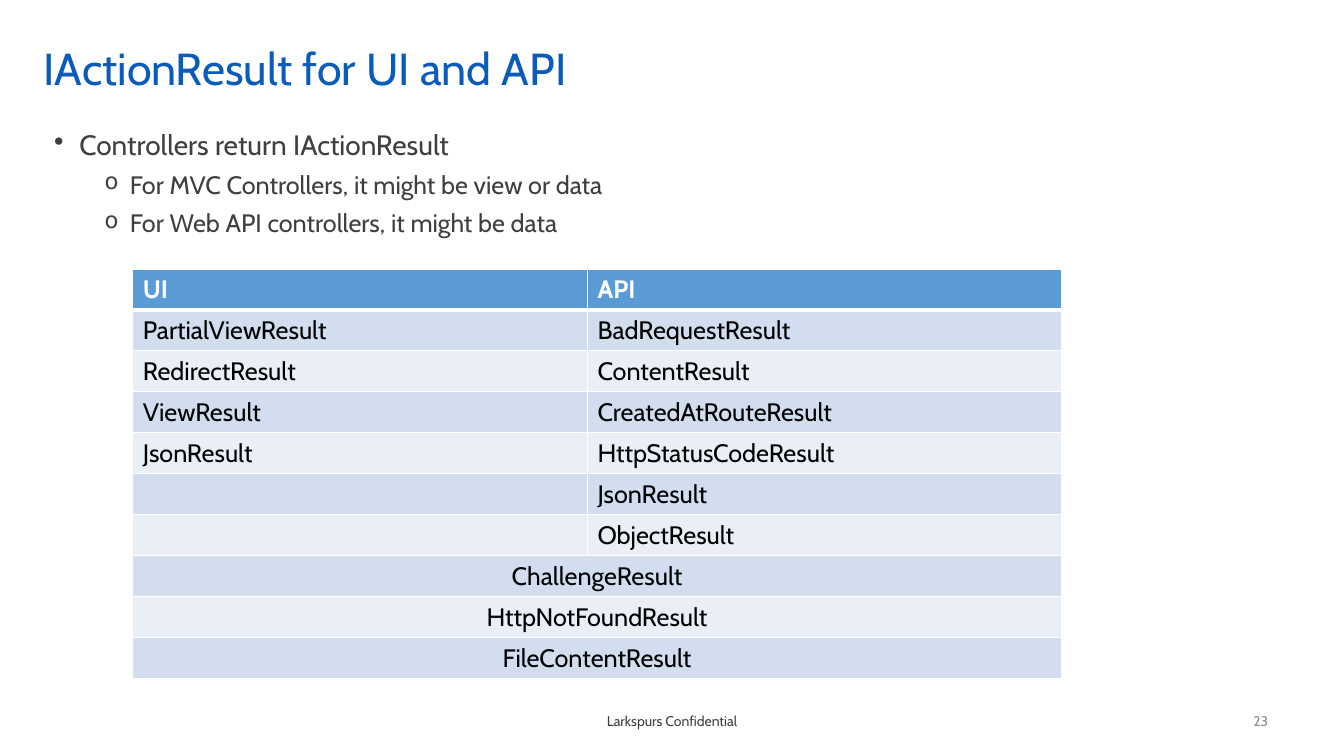
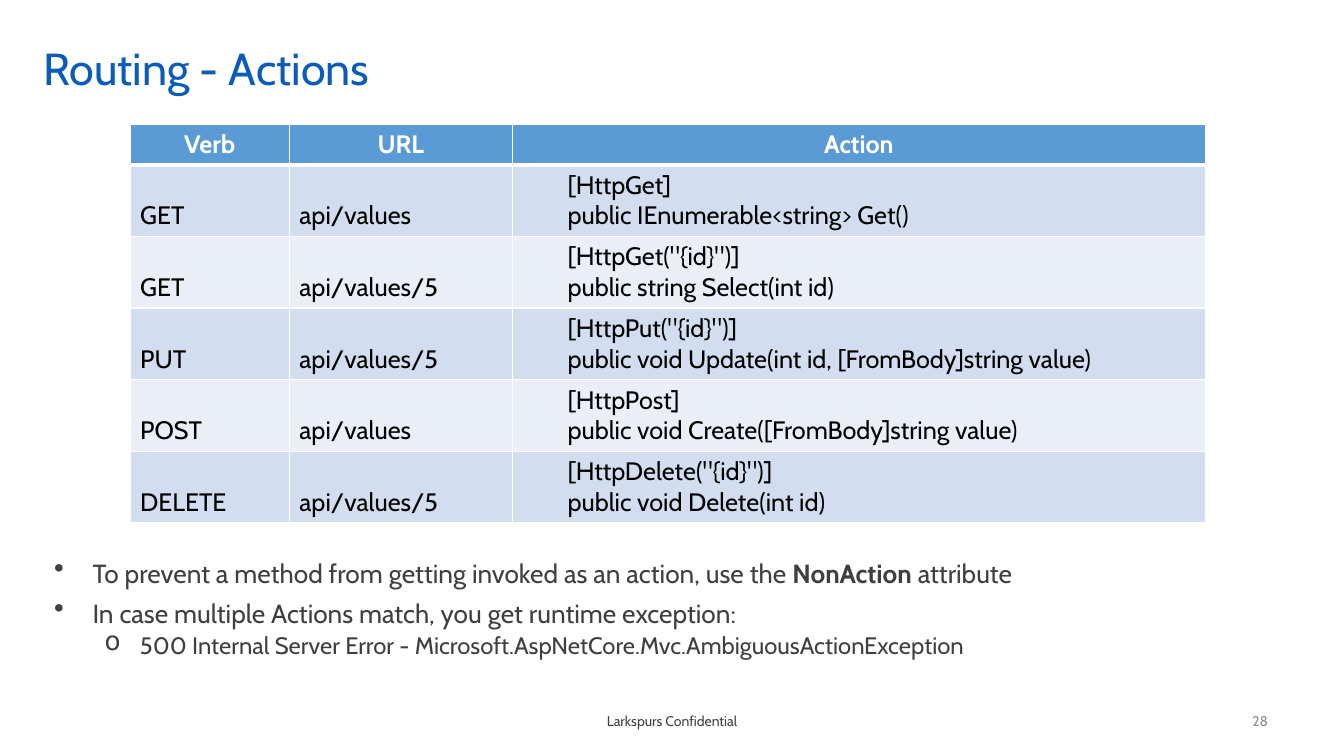
from dataclasses import dataclass

from lxml.etree import SubElement
from pptx import Presentation
from pptx.dml.color import RGBColor
from pptx.enum.text import MSO_ANCHOR, PP_ALIGN
from pptx.oxml.ns import qn
from pptx.slide import Slide
from pptx.table import _Cell
from pptx.text.text import TextFrame, _Paragraph
from pptx.util import Emu, Inches, Pt

# Shared look
FONT = "Cabin"
BLUE, DARK, GREY = "0A5BBA", "3F3F3F", "8C8C8C"
HEADER_FILL, BAND_FILLS = "5B9BD5", ("D2DEEF", "EAEFF7")
WHITE, BLACK = "FFFFFF", "000000"
FOOTER = "Larkspurs Confidential"
TABLE_SIZE = 18
CODE_INDENT = " " * 8

WIDTH, HEIGHT = Inches(13.33), Inches(7.5)


@dataclass(frozen=True)
class Box:
    """A frame, in percent of the slide's width and height."""
    left: float
    top: float
    width: float
    height: float


@dataclass(frozen=True)
class BulletStyle:
    """Bullet sign and spacing; indents in inches, sizes in points."""
    sign: str
    sign_percent: int
    indent: float
    hanging: float
    size: float
    before: float
    line_spacing: float


@dataclass(frozen=True)
class Bullet:
    """One list entry; every second segment is bold."""
    style: BulletStyle
    segments: tuple[str, ...]


@dataclass(frozen=True)
class TableRow:
    texts: tuple[str, ...]
    merged: bool = False


@dataclass(frozen=True)
class TableLayout:
    """Place and tracks of a table, in percent of the slide."""
    left: float
    top: float
    columns: tuple[float, ...]
    header_height: float
    row_height: float
    header_align: PP_ALIGN


TITLE_BOX = Box(2.5, 4.4, 92.5, 10)
FOOTER_BOX = Box(38.33, 92.67, 23.33, 5.33)
NUMBER_BOX = Box(72.6, 92.67, 22.5, 5.33)

RESULT_MAIN = BulletStyle("•", 100, 0.25, 0.25, 20, 10, 0.9)
RESULT_SUB = BulletStyle("o", 90, 0.75, 0.25, 18, 5, 0.9)
ROUTE_MAIN = BulletStyle("•", 110, 0.38, 0.38, 18.7, 10, 0.7)
ROUTE_SUB = BulletStyle("o", 110, 0.85, 0.35, 17, 5, 0.7)


def color(value: str) -> RGBColor:
    return RGBColor.from_string(value)


def across(percent: float) -> Emu:
    return Emu(round(WIDTH * percent / 100))


def down(percent: float) -> Emu:
    return Emu(round(HEIGHT * percent / 100))


def set_font(paragraph: _Paragraph, size: float, ink: str) -> None:
    paragraph.font.name = FONT
    paragraph.font.size = Pt(size)
    paragraph.font.color.rgb = color(ink)


def add_frame(slide: Slide, box: Box) -> TextFrame:
    shape = slide.shapes.add_textbox(
        across(box.left), down(box.top), across(box.width), down(box.height))
    shape.text_frame.word_wrap = True
    return shape.text_frame


def add_line(slide: Slide, box: Box, text: str, size: float, ink: str,
             align: PP_ALIGN = PP_ALIGN.LEFT) -> None:
    frame = add_frame(slide, box)
    frame.vertical_anchor = MSO_ANCHOR.MIDDLE
    paragraph = frame.paragraphs[0]
    paragraph.text = text
    paragraph.alignment = align
    paragraph.line_spacing = 0.9 if box is TITLE_BOX else 1.0
    set_font(paragraph, size, ink)


def add_base_slide(presentation: Presentation, title: str, number: int) -> Slide:
    """Blank slide with title, footer and page number."""
    slide = presentation.slides.add_slide(presentation.slide_layouts[6])
    add_line(slide, FOOTER_BOX, FOOTER, 10, DARK, PP_ALIGN.CENTER)
    add_line(slide, TITLE_BOX, title, 32, BLUE)
    add_line(slide, NUMBER_BOX, str(number), 10, GREY, PP_ALIGN.RIGHT)
    return slide


def add_bullets(slide: Slide, box: Box, bullets: tuple[Bullet, ...]) -> None:
    frame = add_frame(slide, box)
    for index, bullet in enumerate(bullets):
        style = bullet.style
        paragraph = frame.add_paragraph() if index else frame.paragraphs[0]
        properties = paragraph._p.get_or_add_pPr()
        properties.set("marL", str(Inches(style.indent)))
        properties.set("indent", str(-Inches(style.hanging)))
        SubElement(properties, qn("a:buSzPct"), val=str(style.sign_percent * 1000))
        SubElement(properties, qn("a:buChar"), char=style.sign)
        paragraph.line_spacing = style.line_spacing
        paragraph.space_before = Pt(style.before if index else 0)
        paragraph.space_after = Pt(3)
        set_font(paragraph, style.size, DARK)
        for segment_index, segment in enumerate(bullet.segments):
            run = paragraph.add_run()
            run.text = segment
            if segment_index % 2:
                run.font.bold = True


def style_cell(cell: _Cell, row_index: int) -> None:
    """White borders, thick below the header, and a banded fill."""
    properties = cell._tc.get_or_add_tcPr()
    widths = {"L": 1, "R": 1, "T": 3 if row_index == 1 else 1,
              "B": 3 if row_index == 0 else 1}
    for side, width in widths.items():
        line = SubElement(properties, qn(f"a:ln{side}"), w=str(Pt(width)))
        SubElement(SubElement(line, qn("a:solidFill")), qn("a:srgbClr"), val=WHITE)
    cell.fill.solid()
    fill = BAND_FILLS[(row_index - 1) % 2] if row_index else HEADER_FILL
    cell.fill.fore_color.rgb = color(fill)
    cell.vertical_anchor = MSO_ANCHOR.BOTTOM


def add_table(slide: Slide, layout: TableLayout, rows: tuple[TableRow, ...]) -> None:
    heights = [layout.header_height] + [layout.row_height] * (len(rows) - 1)
    table = slide.shapes.add_table(
        len(rows), len(layout.columns), across(layout.left), down(layout.top),
        across(sum(layout.columns)), down(sum(heights))).table
    table.horz_banding = False
    for column, width in zip(table.columns, layout.columns):
        column.width = across(width)
    for row_index, row in enumerate(rows):
        table.rows[row_index].height = down(heights[row_index])
        cells = list(table.rows[row_index].cells)
        for cell in cells:
            style_cell(cell, row_index)
        if row.merged:
            cells[0].merge(cells[-1])
        for cell, text in zip(cells, row.texts):
            paragraph = cell.text_frame.paragraphs[0]
            paragraph.text = text
            if row_index == 0:
                paragraph.alignment = layout.header_align
            elif row.merged:
                paragraph.alignment = PP_ALIGN.CENTER
            set_font(paragraph, TABLE_SIZE, BLACK if row_index else WHITE)
            paragraph.font.bold = row_index == 0


def code(*lines: str) -> str:
    """Indented code lines, joined by line breaks."""
    return "\v".join(CODE_INDENT + line for line in lines)


def build_result_slide(presentation: Presentation) -> None:
    slide = add_base_slide(presentation, "IActionResult for UI and API", 23)
    add_bullets(slide, Box(3.3, 16.67, 91.67, 18), (
        Bullet(RESULT_MAIN, ("Controllers return IActionResult",)),
        Bullet(RESULT_SUB, ("For MVC Controllers, it might be view or data",)),
        Bullet(RESULT_SUB, ("For Web API controllers, it might be data",)),
    ))
    add_table(slide, TableLayout(9.88, 35.65, (33.83, 35.25), 5.3, 5.42, PP_ALIGN.LEFT), (
        TableRow(("UI", "API")),
        TableRow(("PartialViewResult", "BadRequestResult")),
        TableRow(("RedirectResult", "ContentResult")),
        TableRow(("ViewResult", "CreatedAtRouteResult")),
        TableRow(("JsonResult", "HttpStatusCodeResult")),
        TableRow(("", "JsonResult")),
        TableRow(("", "ObjectResult")),
        TableRow(("ChallengeResult",), merged=True),
        TableRow(("HttpNotFoundResult",), merged=True),
        TableRow(("FileContentResult",), merged=True),
    ))


def build_routing_slide(presentation: Presentation) -> None:
    slide = add_base_slide(presentation, "Routing - Actions", 28)
    add_table(slide, TableLayout(9.68, 16.45, (11.85, 16.58, 51.6), 5.33, 9.48,
                                 PP_ALIGN.CENTER), (
        TableRow(("Verb", "URL", "Action")),
        TableRow(("GET", "api/values",
                  code("[HttpGet]", "public IEnumerable<string> Get()"))),
        TableRow(("GET", "api/values/5",
                  code('[HttpGet("{id}")]', "public string Select(int id)"))),
        TableRow(("PUT", "api/values/5",
                  code('[HttpPut("{id}")]',
                       "public void Update(int id, [FromBody]string value)"))),
        TableRow(("POST", "api/values",
                  code("[HttpPost]", "public void Create([FromBody]string value)"))),
        TableRow(("DELETE", "api/values/5",
                  code('[HttpDelete("{id}")]', "public void Delete(int id)"))),
    ))
    add_bullets(slide, Box(3.3, 74.13, 91.67, 14.8), (
        Bullet(ROUTE_MAIN, (
            "To prevent a method from getting invoked as an action, use the ",
            "NonAction", " attribute")),
        Bullet(ROUTE_MAIN, ("In case multiple Actions match, you get runtime exception:",)),
        Bullet(ROUTE_SUB, (
            "500 Internal Server Error - "
            "Microsoft.AspNetCore.Mvc.AmbiguousActionException",)),
    ))


def main() -> None:
    presentation = Presentation()
    presentation.slide_width, presentation.slide_height = WIDTH, HEIGHT
    build_result_slide(presentation)
    build_routing_slide(presentation)
    presentation.save("out.pptx")


if __name__ == "__main__":
    main()
